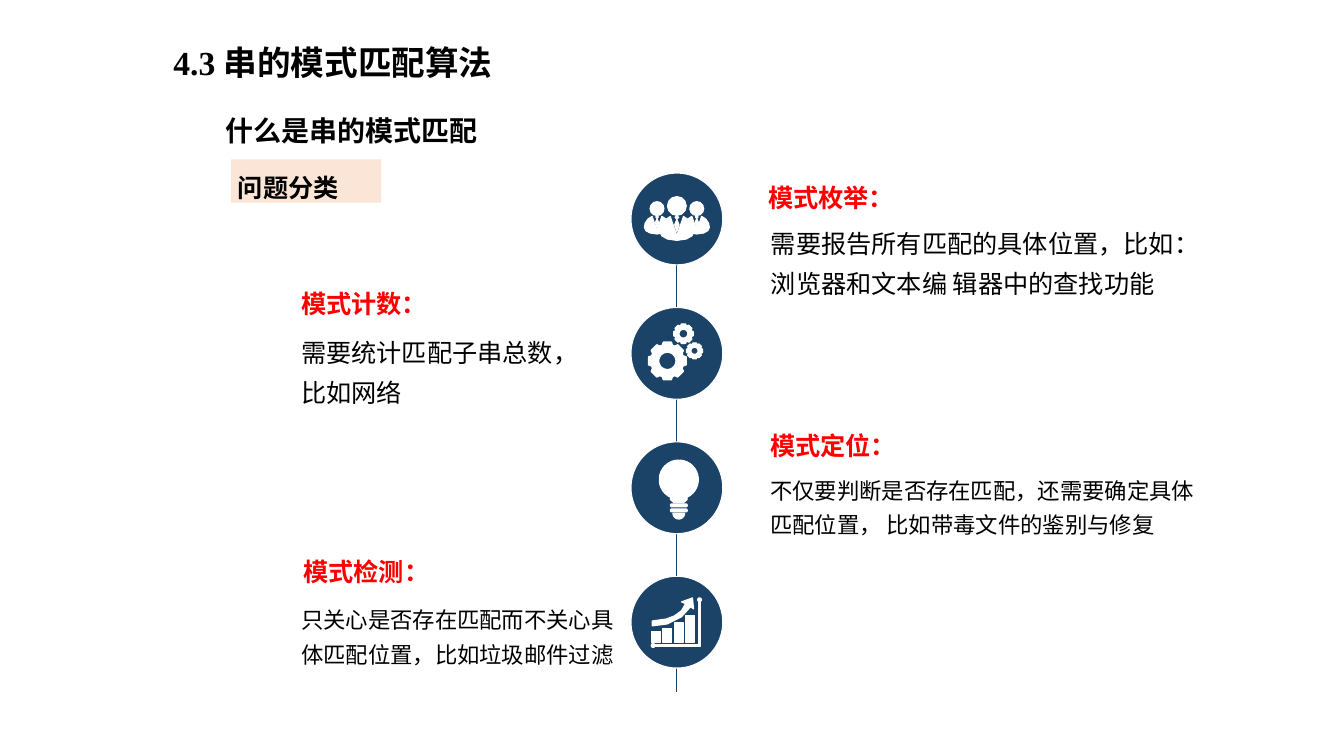
import math

from lxml import etree
from pptx import Presentation
from pptx import util as u
from pptx.dml.color import RGBColor
from pptx.enum import shapes, text
from pptx.oxml import ns

BLACK = RGBColor(0x00, 0x00, 0x00)
WHITE = RGBColor(0xFF, 0xFF, 0xFF)
RED = RGBColor(0xFF, 0x00, 0x00)
NAVY = RGBColor(0x1B, 0x43, 0x67)
PEACH = RGBColor(0xFB, 0xE5, 0xD6)
FONT = "Times New Roman"

# Timeline: four badges, evenly spaced, on one vertical line
AXIS_X, FIRST_Y, BADGE_STEP, BADGE_SIZE = 483.5, 156.4, 96, 65.5
AXIS_TOP, AXIS_BOTTOM = 131, 494.6

# Heading, its box, its line spacing; body, its box, its size (left, top, width, height)
EXACT = u.Pt(15)
TOPICS = [
    ("模式枚举：", (541.5, 120.2, 320, 33), 1.3,
     "需要报告所有匹配的具体位置，比如：浏览器和文本编 辑器中的查找功能",
     (543.6, 153.4, 332, 61), 18),
    ("模式计数：", (208, 208.8, 290, 23), EXACT,
     "需要统计匹配子串总数，比如网络", (208, 231.1, 209, 61), 18),
    ("模式定位：", (543, 297.4, 353, 33), 1.3,
     "不仅要判断是否存在匹配，还需要确定具体匹配位置， 比如带毒文件的鉴别与修复",
     (543, 331.2, 317.5, 55.5), 16),
    ("模式检测：", (209.5, 400.3, 242, 23), EXACT,
     "只关心是否存在匹配而不关心具体匹配位置，比如垃圾邮件过滤",
     (208, 423.4, 250, 55.5), 16),
]


def write(frame, words, size, color=BLACK, bold=False, spacing=1.3, inset=(7.2, 3.6)):
    frame.word_wrap = True
    frame.vertical_anchor = text.MSO_ANCHOR.TOP
    frame.margin_left = frame.margin_right = u.Pt(inset[0])
    frame.margin_top = frame.margin_bottom = u.Pt(inset[1])
    frame.text = words
    line = frame.paragraphs[0]
    line.alignment = text.PP_ALIGN.LEFT
    line.line_spacing = spacing
    font = line.runs[0].font
    font.name, font.size, font.bold = FONT, u.Pt(size), bold
    font.color.rgb = color


def add_words(slide, box, words, size, **style):
    frame = slide.shapes.add_textbox(*map(u.Pt, box)).text_frame
    write(frame, words, size, **style)


def paint(part, fill=WHITE, line=WHITE, width=0.75):
    part.shadow.inherit = False
    part.fill.solid()
    part.fill.fore_color.rgb = fill
    if line is None:
        part.line.fill.background()
    else:
        part.line.color.rgb = line
        part.line.width = u.Pt(width)


def add_preset(slide, kind, left, top, width, height, **style):
    part = slide.shapes.add_shape(kind, *map(u.Pt, (left, top, width, height)))
    paint(part, **style)
    return part


def add_disc(slide, x, y, size, **style):
    add_preset(slide, shapes.MSO_SHAPE.OVAL, x - size / 2, y - size / 2, size, size, **style)


def add_outline(slide, x, y, *contours, scale=1, width=0.75):
    """Closed contours whose points are relative to (x, y); an inner one is a hole."""
    placed = [[(u.Pt(x + scale * px), u.Pt(y + scale * py)) for px, py in points]
              for points in contours]
    builder = slide.shapes.build_freeform(*placed[0][0])
    builder.add_line_segments(placed[0][1:], close=True)
    for points in placed[1:]:
        builder.move_to(*points[0])
        builder.add_line_segments(points[1:], close=True)
    paint(builder.convert_to_shape(), width=width)


def arc(radius, start, end, step=10):
    angles = [math.radians(a) for a in range(start, end + 1, step)]
    return [(radius * math.cos(a), radius * math.sin(a)) for a in angles]


# Badge icons, each placed around the badge centre
def person(slide, x, top, head):
    """A bust measured in head sizes."""
    side = [(0.35, 1.05), (0.65, 1.25), (0.85, 1.55), (0.9, 1.85), (0.8, 2.08), (0.5, 2.25)]
    mirrored = [(-px, py) for px, py in reversed(side)]
    body = side + [(0, 2.32)] + mirrored + [(0, 2.05)]
    knot = [(0, 1), (0.1, 1.1), (0, 1.2), (-0.1, 1.1)]
    tie = [(0, 1.2), (0.12, 1.5), (0, 1.85), (-0.12, 1.5)]
    add_disc(slide, x, top + head / 2, head)
    for outline in (body, knot, tie):
        add_outline(slide, x, top, outline, scale=head)


def people_icon(slide, x, y):
    for dx, dy, head in ((-14.2, -12.4, 10), (14.2, -12.4, 10), (0, -16, 13.5)):
        person(slide, x + dx, y + dy, head)


def gears_icon(slide, x, y):
    for dx, dy, radius, hole in ((-6.8, 5.4, 13.7, 6.2), (4.7, -14, 7.1, 3.2),
                                 (12.6, -1.8, 5.75, 2.6)):
        rim = []
        for tooth in range(0, 360, 45):
            for turn, reach in ((-18, 0.86), (-12, 1), (12, 1), (18, 0.86)):
                rim += arc(radius * reach, tooth + turn, tooth + turn)
        add_outline(slide, x + dx, y + dy, rim, arc(hole, 0, 350), width=1)


def bulb_icon(slide, x, y):
    x += 1.4
    neck = [(6, 14.3), (3.4, 16.6), (-3.4, 16.6), (-6, 14.3)]
    add_outline(slide, x, y - 5.8, arc(14, 115, 425) + neck)
    for ring_top in (11.5, 15.1):
        ring = add_preset(slide, shapes.MSO_SHAPE.ROUNDED_RECTANGLE,
                          x - 6.1, y + ring_top, 12.2, 2.2)
        ring.adjustments[0] = 0.5
    add_outline(slide, x, y + 18.2, arc(4.2, 0, 180))


def growth_icon(slide, x, y):
    arrow = [(11.9, -9.5), (11.2, -17.4), (3.2, -14.5), (6.1, -13.1), (3.2, -8.1),
             (-1.8, -4.5), (-7.6, -2.3), (-17.6, -0.9), (-17.6, 2.7), (-6.8, 1.3),
             (3.2, -3.7), (9.7, -10.9)]
    add_outline(slide, x, y, arrow)
    for i, height in enumerate((7.9, 10.1, 13.7, 18.7)):
        add_preset(slide, shapes.MSO_SHAPE.RECTANGLE,
                   x - 18.4 + 8.2 * i, y + 14.3 - height, 6.6, height)
    axes = [(15.6, -16), (16.8, -16), (16.8, 17.2), (-17, 17.2), (-17, 16.2), (15.6, 16.2)]
    add_outline(slide, x, y, axes)
    for dx, dy in ((16.2, -16), (-17, 16.7)):
        add_disc(slide, x + dx, y + dy, 2.8)


# Regions of the slide
def add_titles(slide):
    add_words(slide, (118.8, 18.7, 331, 39.6), "4.3 串的模式匹配算法", 24,
              bold=True, inset=(5, 2.9))
    add_words(slide, (154, 70.6, 277, 36), "什么是串的模式匹配", 20, bold=True)


def add_label(slide, box):
    label = add_preset(slide, shapes.MSO_SHAPE.RECTANGLE, *box, fill=PEACH, line=None)
    write(label.text_frame, "问题分类", 18, bold=True, inset=(5, 2.9))
    label.text_frame.paragraphs[0].alignment = text.PP_ALIGN.JUSTIFY


def add_timeline(slide, x):
    axis = slide.shapes.add_connector(shapes.MSO_CONNECTOR.STRAIGHT, u.Pt(x), u.Pt(AXIS_TOP),
                                      u.Pt(x), u.Pt(AXIS_BOTTOM))
    axis.line.color.rgb = NAVY
    axis.line.width = u.Pt(0.75)
    etree.SubElement(axis._element.spPr, ns.qn("a:effectLst"))
    for i, icon in enumerate((people_icon, gears_icon, bulb_icon, growth_icon)):
        y = FIRST_Y + BADGE_STEP * i
        add_disc(slide, x, y, BADGE_SIZE, fill=NAVY)
        icon(slide, x, y)


def add_topic(slide, heading, heading_box, spacing, body, body_box, size):
    add_words(slide, heading_box, heading, 18, color=RED, bold=True, spacing=spacing)
    add_words(slide, body_box, body, size)


def main():
    deck = Presentation()
    deck.slide_width, deck.slide_height = u.Pt(960), u.Pt(540)
    slide = deck.slides.add_slide(deck.slide_layouts[6])
    add_titles(slide)
    add_label(slide, (165, 113.8, 107.3, 31))
    add_timeline(slide, AXIS_X)
    for topic in TOPICS:
        add_topic(slide, *topic)
    deck.save("out.pptx")


if __name__ == "__main__":
    main()
